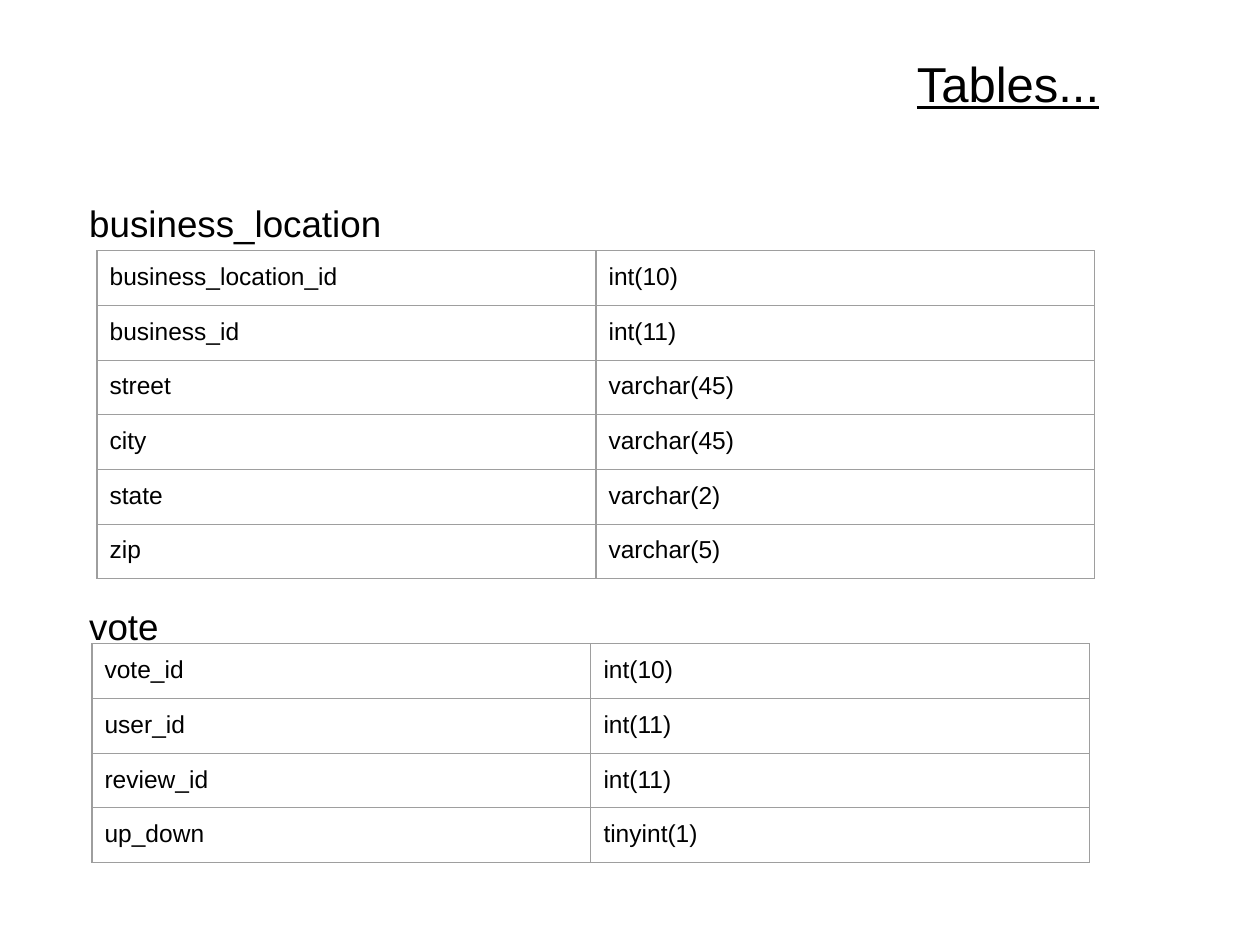
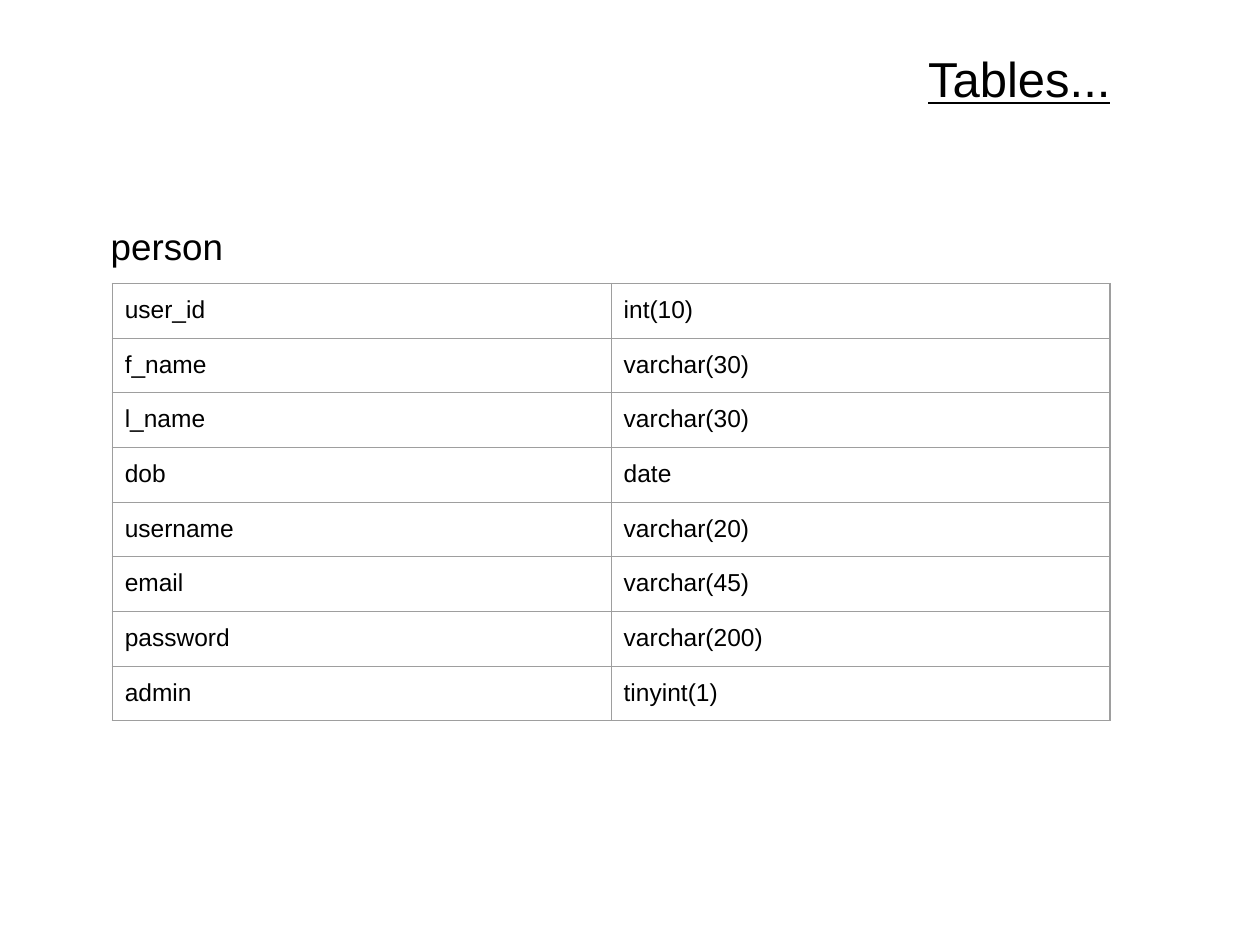
from lxml.etree import SubElement
from pptx import Presentation
from pptx.dml.color import RGBColor
from pptx.enum.text import MSO_ANCHOR, PP_ALIGN
from pptx.oxml.ns import qn
from pptx.util import Inches, Pt

COLORS = {"text": "000000", "rule": "9E9E9E"}

PLACE = [
    ("business_location_id", "int(10)"),
    ("business_id", "int(11)"),
    ("street", "varchar(45)"),
    ("city", "varchar(45)"),
    ("state", "varchar(2)"),
    ("zip", "varchar(5)"),
]
VOTE = [
    ("vote_id", "int(10)"),
    ("user_id", "int(11)"),
    ("review_id", "int(11)"),
    ("up_down", "tinyint(1)"),
]
PERSON = [
    ("user_id", "int(10)"),
    ("f_name", "varchar(30)"),
    ("l_name", "varchar(30)"),
    ("dob", "date"),
    ("username", "varchar(20)"),
    ("email", "varchar(45)"),
    ("password", "varchar(200)"),
    ("admin", "tinyint(1)"),
]


class Deck:
    """Draws schema slides on a grid of 100 columns by 75 rows."""

    font = "Arial"
    inset = Inches(0.1)
    width = 39.6
    height = 4.18

    def __init__(self):
        self.show = Presentation()
        self.show.slide_width = Inches(10)
        self.show.slide_height = Inches(7.5)
        self.unit = self.show.slide_width / 100
        self.slide = None

    def grid(self, *steps):
        return [round(step * self.unit) for step in steps]

    def pad(self, item):
        item.margin_left = item.margin_right = self.inset
        item.margin_top = item.margin_bottom = self.inset

    def style(self, para, size):
        para.font.name = self.font
        para.font.size = Pt(size)
        para.font.color.rgb = RGBColor.from_string(COLORS["text"])

    def text(self, words, size, *box):
        frame = self.slide.shapes.add_textbox(*self.grid(*box)).text_frame
        frame.word_wrap = True
        self.pad(frame)
        para = frame.paragraphs[0]
        para.text = words
        self.style(para, size)
        return frame

    def page(self, title, *box):
        self.slide = self.show.slides.add_slide(self.show.slide_layouts[6])
        frame = self.text(title, 28, *box)
        frame.vertical_anchor = MSO_ANCHOR.MIDDLE
        para = frame.paragraphs[0]
        para.alignment = PP_ALIGN.CENTER
        para.line_spacing = 0.9
        para.space_before = Pt(10)
        para.font.underline = True

    def label(self, words, *box):
        self.text(words, 21, *box)

    def border(self, cell):
        props = cell._tc.get_or_add_tcPr()
        for side in ("a:lnL", "a:lnR", "a:lnT", "a:lnB"):
            line = SubElement(props, qn(side), w=str(Pt(0.75)))
            fill = SubElement(line, qn("a:solidFill"))
            SubElement(fill, qn("a:srgbClr"), val=COLORS["rule"])

    def table(self, fields, left, top):
        box = self.grid(left, top, 2 * self.width, len(fields) * self.height)
        table = self.slide.shapes.add_table(len(fields), 2, *box).table
        table.first_row = table.horz_banding = False
        for row, field in zip(table.rows, fields):
            row.height = self.grid(self.height)[0]
            for cell, words in zip(row.cells, field):
                cell.text = words
                self.pad(cell)
                self.style(cell.text_frame.paragraphs[0], 14)
                self.border(cell)
                cell.fill.background()


def main():
    """Build both slides and save the deck."""
    deck = Deck()
    deck.page("Tables...", 61.9, 2.2, 36.2, 9.3)
    deck.table(PLACE, 7.7, 19.9)
    deck.label("business_location", 6.1, 14.9, 81.5, 5)
    deck.label("vote", 6.1, 46.9, 80.7, 5)
    deck.table(VOTE, 7.3, 51.1)

    deck.page("Tables...", 63.6, 2.6, 34.6, 7.8)
    deck.label("person", 7.8, 16.8, 72.8, 5.7)
    deck.table(PERSON, 8.9, 22.5)
    deck.show.save("out.pptx")


if __name__ == "__main__":
    main()
